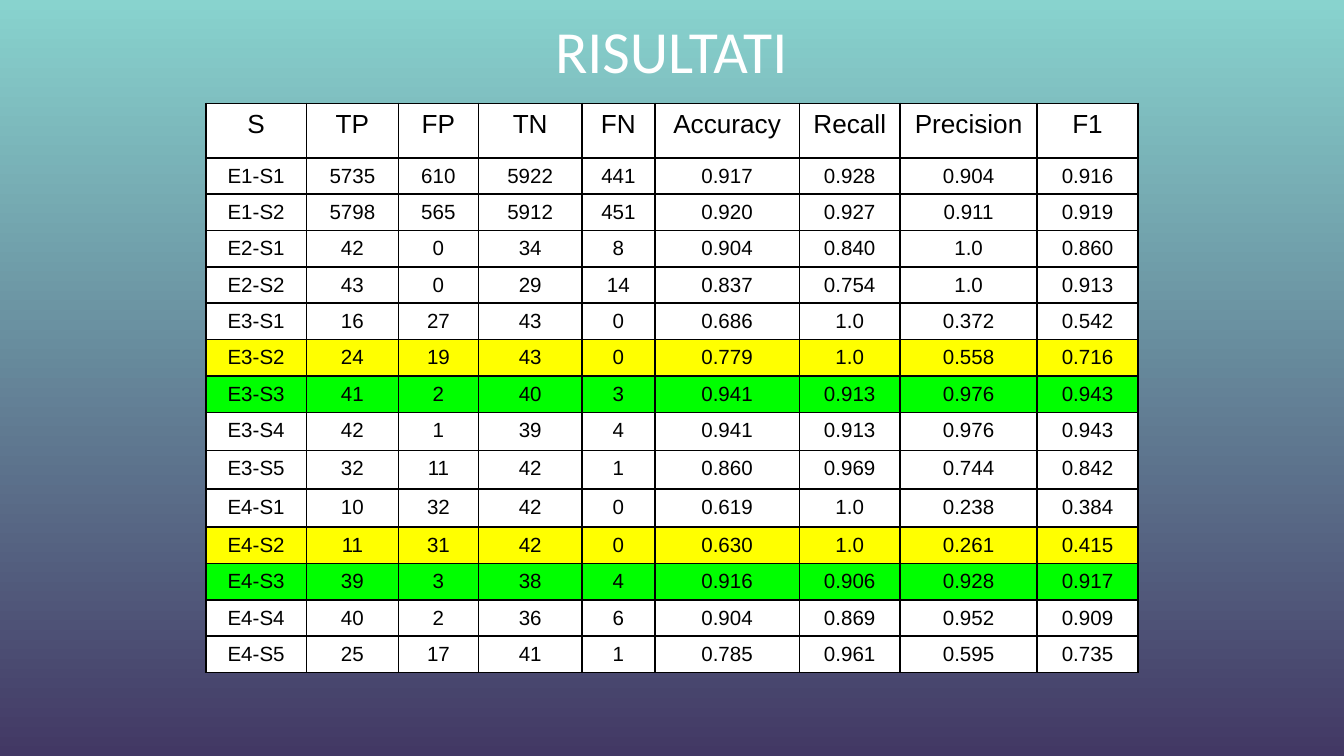
from dataclasses import dataclass
from lxml.etree import SubElement
from pptx import Presentation
from pptx.dml.color import RGBColor
from pptx.enum.text import MSO_ANCHOR, MSO_AUTO_SIZE, PP_ALIGN
from pptx.oxml.ns import qn
from pptx.util import Pt


@dataclass(frozen=True)
class Theme:
    top: str = "88D3CE"
    base: str = "423864"
    white: str = "FFFFFF"
    ink: str = "000000"
    warn: str = "FFFF00"
    best: str = "00FF00"
    title: float = 32
    head: float = 14
    body: float = 11
    line: float = 1


@dataclass(frozen=True)
class Row:
    cells: str
    fill: str
    high: float = 19.5
    size: float = 11


THEME = Theme()
WIDTHS = [54, 49.2, 43, 55.4, 39.1, 77.4, 54, 73.4, 54]
TALL = 20.5
ROWS = [
    Row("S TP FP TN FN Accuracy Recall Precision F1", THEME.white, 29.2, THEME.head),
    Row("E1-S1 5735 610 5922 441 0.917 0.928 0.904 0.916", THEME.white),
    Row("E1-S2 5798 565 5912 451 0.920 0.927 0.911 0.919", THEME.white),
    Row("E2-S1 42 0 34 8 0.904 0.840 1.0 0.860", THEME.white),
    Row("E2-S2 43 0 29 14 0.837 0.754 1.0 0.913", THEME.white),
    Row("E3-S1 16 27 43 0 0.686 1.0 0.372 0.542", THEME.white),
    Row("E3-S2 24 19 43 0 0.779 1.0 0.558 0.716", THEME.warn),
    Row("E3-S3 41 2 40 3 0.941 0.913 0.976 0.943", THEME.best),
    Row("E3-S4 42 1 39 4 0.941 0.913 0.976 0.943", THEME.white, TALL),
    Row("E3-S5 32 11 42 1 0.860 0.969 0.744 0.842", THEME.white, TALL),
    Row("E4-S1 10 32 42 0 0.619 1.0 0.238 0.384", THEME.white, TALL),
    Row("E4-S2 11 31 42 0 0.630 1.0 0.261 0.415", THEME.warn),
    Row("E4-S3 39 3 38 4 0.916 0.906 0.928 0.917", THEME.best),
    Row("E4-S4 40 2 36 6 0.904 0.869 0.952 0.909", THEME.white),
    Row("E4-S5 25 17 41 1 0.785 0.961 0.595 0.735", THEME.white),
]


def add_run(frame, text: str, size: float, face: str, color: str) -> None:
    para = frame.paragraphs[0]
    para.alignment = PP_ALIGN.CENTER
    run = para.add_run()
    run.text = text
    run.font.size = Pt(size)
    run.font.name = face
    run.font.color.rgb = RGBColor.from_string(color)


def add_edges(cell) -> None:
    props = cell._tc.get_or_add_tcPr()
    for side in ("lnL", "lnR", "lnT", "lnB"):
        line = SubElement(props, qn(f"a:{side}"), w=str(Pt(THEME.line)))
        fill = SubElement(line, qn("a:solidFill"))
        SubElement(fill, qn("a:srgbClr"), val=THEME.ink)


def draw_cell(cell, text: str, row: Row) -> None:
    cell.margin_left = cell.margin_right = Pt(5)
    add_edges(cell)
    cell.fill.solid()
    cell.fill.fore_color.rgb = RGBColor.from_string(row.fill)
    add_run(cell.text_frame, text, row.size, "Arial", THEME.ink)


def draw_table(slide, rows: list[Row], left: float, top: float) -> None:
    wide, high = sum(WIDTHS), sum(row.high for row in rows)
    table = slide.shapes.add_table(
        len(rows), len(WIDTHS), Pt(left), Pt(top), Pt(wide), Pt(high)
    ).table
    table.first_row = table.horz_banding = False
    for col, width in zip(table.columns, WIDTHS):
        col.width = Pt(width)
    for line, row in zip(table.rows, rows):
        line.height = Pt(row.high)
        for cell, text in zip(line.cells, row.cells.split()):
            draw_cell(cell, text, row)


def draw_title(slide, text: str) -> None:
    title = slide.shapes.title
    title.left, title.top = Pt(157.7), Pt(0)
    title.width, title.height = Pt(404), Pt(45.4)
    frame = title.text_frame
    frame.word_wrap = True
    frame.auto_size = MSO_AUTO_SIZE.NONE
    frame.vertical_anchor = MSO_ANCHOR.TOP
    frame.margin_left = frame.margin_right = Pt(7.2)
    frame.margin_top = frame.margin_bottom = Pt(7.2)
    add_run(frame, text, THEME.title, "Calibri", THEME.white)


def draw_back(slide) -> None:
    fill = slide.background.fill
    fill.gradient()
    fill.gradient_angle = 270
    for stop, color in zip(fill.gradient_stops, (THEME.top, THEME.base)):
        stop.color.rgb = RGBColor.from_string(color)


def main() -> None:
    deck = Presentation()
    deck.slide_width, deck.slide_height = Pt(720), Pt(405)
    slide = deck.slides.add_slide(deck.slide_layouts[5])
    draw_back(slide)
    draw_table(slide, ROWS, 110.2, 55.4)
    draw_title(slide, "RISULTATI")
    deck.save("out.pptx")


if __name__ == "__main__":
    main()
